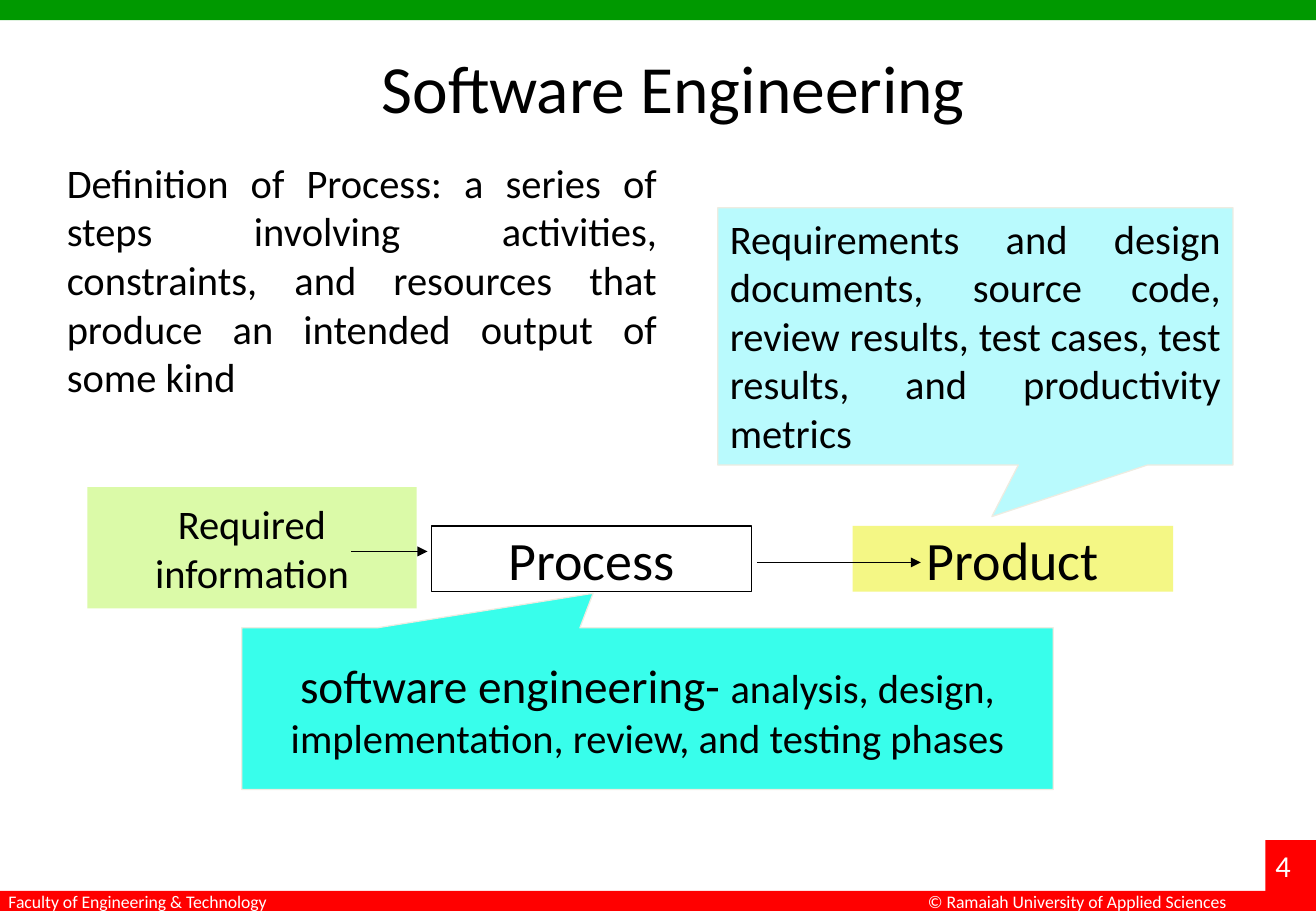
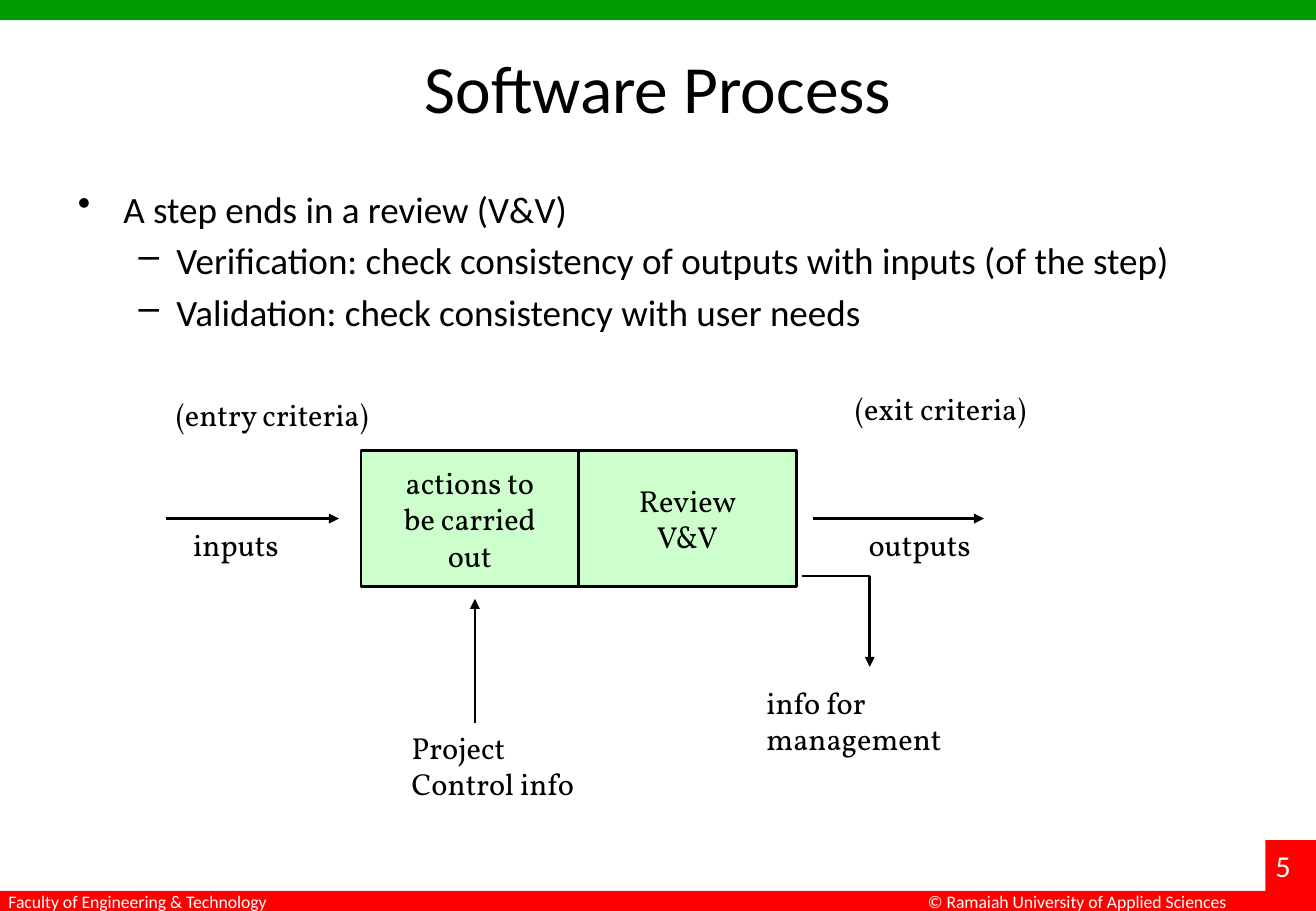
"""Build two lecture slides on software engineering and the software process."""
import pptx
import pptx.dml.color
import pptx.enum.shapes
import pptx.enum.text
import pptx.oxml.ns
import pptx.util
from lxml import etree

Pt = pptx.util.Pt
ALIGN = pptx.enum.text.PP_ALIGN
ANCHOR = pptx.enum.text.MSO_ANCHOR
SHAPES = pptx.enum.shapes.MSO_SHAPE

WIDTH, HEIGHT = 780, 540
SANS, SERIF = "Calibri", "Vollkorn"
COLORS = {
    "black": "000000", "white": "FFFFFF", "green": "009900", "red": "FF0000",
    "yellow": "F4F785", "lime": "DBFAA8", "turquoise": "38FEEB",
    "ice": "B9FAFD", "cream": "EEECE1", "mint": "CCFFCC",
}

BANDS = [
    ((0, 0, WIDTH, 12), "green"),
    ((0, 528, WIDTH, 12), "red"),
    ((750, 498, 30, 42), "red"),
]
FOOTERS = [
    ((5, 527.8, 157, 13), "Faculty of Engineering & Technology"),
    ((550, 527.8, 180, 13), "© Ramaiah University of Applied Sciences"),
]

DEFINITION = (
    "Definition of Process: a series of steps involving activities, constraints, "
    "and resources that produce an intended output of some kind"
)
FLOW_BOXES = [
    ((255.6, 311.8, 190, 38.9), None, "black", "Process", 32),
    ((505.4, 311.8, 190, 38.9), "yellow", None, "Product", 32),
    ((51.8, 288.7, 195.1, 72), "lime", None, "Required information", 24),
]
CALLOUTS = [
    ((143.3, 372.2, 481, 95.8), (-0.067, -0.714), "turquoise", ANCHOR.MIDDLE, ALIGN.CENTER,
     [("software engineering- ", 28),
      ("analysis, design, implementation, review, and testing phases", 24)]),
    ((425.5, 123.1, 305.3, 152.6), (0.032, 0.7), "ice", ANCHOR.TOP, ALIGN.JUSTIFY,
     [("Requirements and design documents, source code, review results, "
       "test cases, test results, and productivity metrics", 24)]),
]
FLOW_ARROWS = [((208.1, 326.9), (253.4, 326.9)), ((448.6, 333.4), (545.8, 333.4))]

BULLETS = [
    (0, "A step ends in a review (V&V)"),
    (1, "Verification: check consistency of outputs with inputs (of the step)"),
    (1, "Validation: check consistency with user needs"),
]
BULLET_STYLES = [("•", 27, -27), ("–", 58.5, -22.5)]
STEP_LEFT, STEP_TOP, STEP_WIDTH, STEP_HEIGHT = 214, 267, 129, 80.6
STEPS = [["actions to", "be carried", "out"], ["Review", "V&V"]]
LABELS = [
    ((104.4, 234.7, 116, 22), ["(entry criteria)"]),
    ((506.9, 231.1, 107, 22), ["(exit criteria)"]),
    ((114.5, 311.8, 52, 22), ["inputs"]),
    ((514.8, 311.8, 63, 22), ["outputs"]),
    ((244, 432, 99, 44), ["Project", "Control info"]),
    ((454.3, 405.4, 105, 44), ["info for", "management"]),
]
PROCESS_LINES = [
    ((98.6, 307.4), (200.9, 307.4), True),
    ((481.7, 307.4), (583.2, 307.4), True),
    ((281.5, 428.4), (281.5, 355), True),
    ((475.2, 341.3), (515.5, 341.3), False),
    ((515.5, 341.3), (515.5, 395.3), True),
]


def rgb(name):
    return pptx.dml.color.RGBColor.from_string(COLORS[name])


def place(box):
    return [Pt(length) for length in box]


def add_run(paragraph, text, size, font=SANS, color="black"):
    run = paragraph.add_run()
    run.text = text
    run.font.name, run.font.size = font, Pt(size)
    run.font.color.rgb = rgb(color)


def write(frame, lines, align=ALIGN.LEFT, font=SANS, color="black"):
    """Write each line, a list of (text, size) runs, as one paragraph."""
    for index, runs in enumerate(lines):
        paragraph = frame.add_paragraph() if index else frame.paragraphs[0]
        paragraph.alignment = align
        for text, size in runs:
            add_run(paragraph, text, size, font, color)


def add_text(slide, box, lines, wrap=False, **style):
    frame = slide.shapes.add_textbox(*place(box)).text_frame
    frame.margin_left = frame.margin_right = frame.margin_top = frame.margin_bottom = 0
    frame.word_wrap = wrap
    write(frame, lines, **style)
    return frame


def add_box(slide, box, fill, line=None, line_width=0.75, kind=SHAPES.RECTANGLE):
    shape = slide.shapes.add_shape(kind, *place(box))
    shape.shadow.inherit = False
    if fill:
        shape.fill.solid()
        shape.fill.fore_color.rgb = rgb(fill)
    else:
        shape.fill.background()
    if line:
        shape.line.color.rgb = rgb(line)
        shape.line.width = Pt(line_width)
    else:
        shape.line.fill.background()
    shape.text_frame.word_wrap = True
    shape.text_frame.vertical_anchor = ANCHOR.MIDDLE
    return shape


def add_line(slide, start, end, width, arrow=True):
    connector = slide.shapes.add_connector(
        pptx.enum.shapes.MSO_CONNECTOR.STRAIGHT, *place(start + end))
    connector.line.color.rgb = rgb("black")
    connector.line.width = Pt(width)
    if arrow:
        head = etree.SubElement(connector.line._get_or_add_ln(), pptx.oxml.ns.qn("a:tailEnd"))
        head.set("type", "triangle")
    etree.SubElement(connector._element.spPr, pptx.oxml.ns.qn("a:effectLst"))


def add_slide(presentation, number, title, center):
    slide = presentation.slides.add_slide(presentation.slide_layouts[5])
    for box, color in BANDS:
        add_box(slide, box, color)
    for box, text in FOOTERS:
        add_text(slide, box, [[(text, 10.5)]], color="white")
    add_text(slide, (756, 502, 18, 22), [[(str(number), 18)]], color="white")
    heading = slide.shapes.title
    heading.left, heading.top, heading.width, heading.height = place((center - 345, 18, 690, 66))
    heading.text_frame.auto_size = pptx.enum.text.MSO_AUTO_SIZE.NONE
    heading.text_frame.vertical_anchor = ANCHOR.MIDDLE
    write(heading.text_frame, [[(title, 40)]], ALIGN.CENTER)
    return slide


def build_engineering(presentation):
    slide = add_slide(presentation, 4, "Software Engineering", 399)
    for box, fill, line, text, size in FLOW_BOXES:
        shape = add_box(slide, box, fill, line)
        write(shape.text_frame, [[(text, size)]], ALIGN.CENTER)
    for box, pointer, fill, anchor, align, runs in CALLOUTS:
        callout = add_box(slide, box, fill, "cream", kind=SHAPES.RECTANGULAR_CALLOUT)
        callout.adjustments[0], callout.adjustments[1] = pointer
        callout.text_frame.vertical_anchor = anchor
        write(callout.text_frame, [runs], align)
    for start, end in FLOW_ARROWS:
        add_line(slide, start, end, 0.75)
    add_text(slide, (39.6, 93.6, 349.9, 147), [[(DEFINITION, 24)]], True, align=ALIGN.JUSTIFY)


def build_process(presentation):
    slide = add_slide(presentation, 5, "Software Process", 390)
    frame = add_text(slide, (46.1, 110.2, 694, 96), [[(text, 22)] for _, text in BULLETS],
                     True, align=ALIGN.JUSTIFY)
    for index, (paragraph, (level, _)) in enumerate(zip(frame.paragraphs, BULLETS)):
        symbol, margin, indent = BULLET_STYLES[level]
        properties = paragraph._p.get_or_add_pPr()
        properties.set("marL", str(Pt(margin)))
        properties.set("indent", str(Pt(indent)))
        etree.SubElement(properties, pptx.oxml.ns.qn("a:buChar")).set("char", symbol)
        paragraph.level = level
        if index:
            paragraph.space_before = Pt(4.4)
    for index, lines in enumerate(STEPS):
        box = (STEP_LEFT + index * STEP_WIDTH, STEP_TOP, STEP_WIDTH, STEP_HEIGHT)
        shape = add_box(slide, box, "mint", "black", 1.5)
        write(shape.text_frame, [[(text, 18)] for text in lines], ALIGN.CENTER, SERIF)
    for box, lines in LABELS:
        add_text(slide, box, [[(text, 18)] for text in lines], font=SERIF)
    for start, end, arrow in PROCESS_LINES:
        add_line(slide, start, end, 1.5, arrow)


def main():
    presentation = pptx.Presentation()
    presentation.slide_width, presentation.slide_height = Pt(WIDTH), Pt(HEIGHT)
    build_engineering(presentation)
    build_process(presentation)
    presentation.save("out.pptx")


if __name__ == "__main__":
    main()
